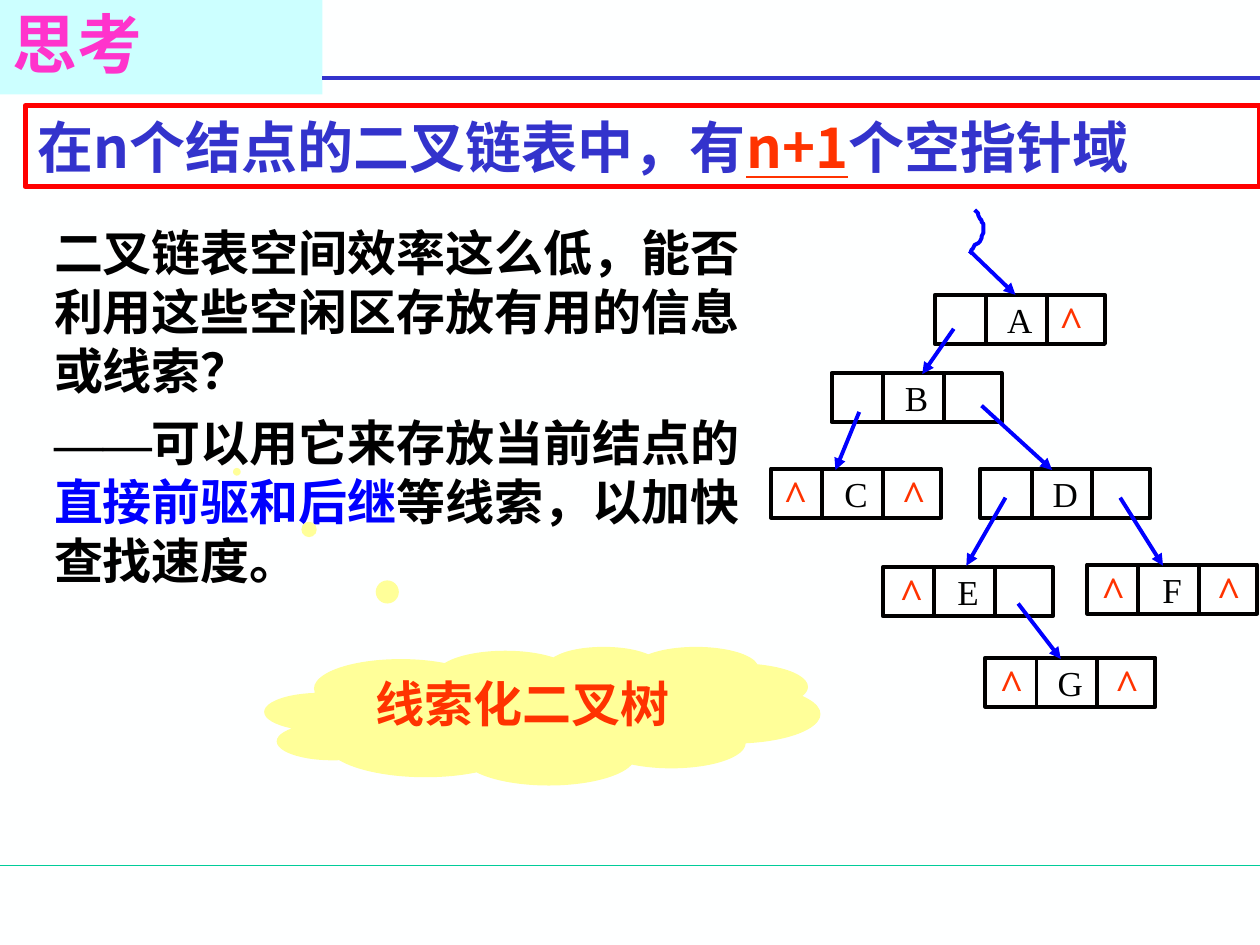
from lxml import etree
from pptx import Presentation
from pptx import util as u
from pptx.dml.color import RGBColor
from pptx.enum import shapes, text
from pptx.oxml.ns import qn

Pt = u.Pt
COLORS = dict(paper="FEFFFF", teal="00CC99", navy="3333CC", cyan="CCFFFF",
              pink="FF33CC", yellow="FFFF99", orange="FF3300", red="FF0000",
              black="000000", blue="0000FF")
SERIF, SANS = "Times New Roman", "Noto Sans CJK SC"
LEFT, CENTER = text.PP_ALIGN.LEFT, text.PP_ALIGN.CENTER
TOP, MIDDLE = text.MSO_ANCHOR.TOP, text.MSO_ANCHOR.MIDDLE

TITLE = [[("思考", "pink")]]
FACT = [[("在n个结点的二叉链表中，有", "navy"), ("n+1", "orange"), ("个空指针域", "navy")]]
QUESTION = [
    [("二叉链表空间效率这么低，能否利用这些空闲区存放有用的信息或线索？", "black")],
    [("——", "black"), ("可以用它来存放当前结点的", "black"),
     ("直接前驱和后继", "blue"), ("等线索，以加快查找速度。", "black")],
]
ANSWER = [[("线索化二叉树", "orange")]]

RULES = [((0, 494.6), (720, 494.6), "teal", 0.75),
         ((184.3, 44.6), (720, 44.6), "navy", 2.25)]
NODE_W, NODE_H, DIVIDERS = 97.2, 28.1, (29.3, 64)
CARET_W, CARET_H, CARET_RISE = 28.1, 36, 3.6
NODES = [("A", 534.2, 168.5, [64]), ("B", 475.2, 213.1, []),
         ("C", 440.6, 267.8, [0, 67.5]), ("D", 560.2, 267.8, []),
         ("E", 504.5, 324, [2.4]), ("F", 621.2, 322.6, [1, 67]),
         ("G", 563, 375.8, [1, 67])]
ARROWS = [((545, 187.9), (527, 213.8)), ((491, 235.4), (477.4, 268.6)),
          ((560.9, 231.8), (601.2, 268.6)), ((574.6, 284.4), (552.2, 323.3)),
          ((640.1, 284.4), (664.6, 323.3)), ((581.8, 344.9), (606.2, 376.6)),
          ((554.4, 143.6), (580.3, 168.5))]
ROOT_CURVES = [[(557, 120.2), (559.4, 123.8), (563, 127.4), (562.3, 131.8)],
               [(562.3, 131.8), (561.6, 136.1), (555.8, 142.6), (553.9, 144.7)]]
CURVE_STEPS = 10


def rgb(name):
    return RGBColor.from_string(COLORS[name])


def write(sp, paragraphs, size, font=SERIF, bold=True, align=LEFT,
          anchor=TOP, wrap=True, spacing=None, before=0):
    tf = sp.text_frame
    tf.auto_size = text.MSO_AUTO_SIZE.NONE
    tf.word_wrap = wrap
    tf.vertical_anchor = anchor
    for i, runs in enumerate(paragraphs):
        p = tf.add_paragraph() if i else tf.paragraphs[0]
        p.alignment = align
        p.space_before = Pt(before if i else 0)
        if spacing:
            p.line_spacing = spacing
        for content, color in runs:
            r = p.add_run()
            r.text = content
            r.font.size = Pt(size)
            r.font.bold = bold
            r.font.name = font
            r.font.color.rgb = rgb(color)
            r.font.underline = True if content == "n+1" else None
            ea = etree.SubElement(r.font._element, qn("a:ea"))
            ea.set("typeface", SERIF if content == "——" else SANS)


def add_box(s, kind, x, y, w, h, fill=None, line=None, width=2.25):
    sp = s.shapes.add_shape(kind, Pt(x), Pt(y), Pt(w), Pt(h))
    style(sp, fill, line, width)
    return sp


def style(sp, fill, line, width):
    sp.shadow.inherit = False
    if fill:
        sp.fill.solid()
        sp.fill.fore_color.rgb = rgb(fill)
    else:
        sp.fill.background()
    if line:
        sp.line.color.rgb = rgb(line)
        sp.line.width = Pt(width)
    else:
        sp.line.fill.background()


def add_text(s, x, y, w, h, paragraphs, size, **options):
    write(s.shapes.add_textbox(Pt(x), Pt(y), Pt(w), Pt(h)), paragraphs, size, **options)


def add_line(s, start, end, color, width=2.25, arrow=False):
    c = s.shapes.add_connector(shapes.MSO_CONNECTOR.STRAIGHT,
                               *[Pt(v) for v in start + end])
    c.line.color.rgb = rgb(color)
    c.line.width = Pt(width)
    if arrow:
        etree.SubElement(c.line._get_or_add_ln(), qn("a:tailEnd"), type="triangle")
    etree.SubElement(c._element.spPr, qn("a:effectLst"))


def bezier(a, b, c, d, t):
    k = 1 - t
    return tuple(k**3 * a[i] + 3 * k * k * t * b[i] + 3 * k * t * t * c[i] + t**3 * d[i]
                 for i in (0, 1))


def add_node(s, letter, x, y, carets):
    sp = add_box(s, shapes.MSO_SHAPE.RECTANGLE, x, y, NODE_W, NODE_H, line="black")
    write(sp, [[(letter, "black")]], 20, bold=False, align=CENTER,
          anchor=MIDDLE, wrap=False)
    for dx in DIVIDERS:
        add_line(s, (x + dx, y), (x + dx, y + NODE_H), "black")
    for dx in carets:
        add_text(s, x + dx, y - CARET_RISE, CARET_W, CARET_H, [[("^", "orange")]],
                 24, align=CENTER, anchor=MIDDLE, wrap=False)


def add_root_pointer(s):
    points = [bezier(*curve, step / CURVE_STEPS)
              for curve in ROOT_CURVES for step in range(1, CURVE_STEPS + 1)]
    builder = s.shapes.build_freeform(*ROOT_CURVES[0][0], scale=float(Pt(1)))
    builder.add_line_segments(points, close=False)
    style(builder.convert_to_shape(), None, "blue", 2.25)


def main():
    prs = Presentation()
    prs.slide_width, prs.slide_height = Pt(720), Pt(540)
    s = prs.slides.add_slide(prs.slide_layouts[5])
    s.background.fill.solid()
    s.background.fill.fore_color.rgb = rgb("paper")

    for rule in RULES:
        add_line(s, *rule)

    title = s.shapes.title
    title.left, title.top, title.width, title.height = Pt(0), Pt(0), Pt(184.3), Pt(54)
    title.fill.solid()
    title.fill.fore_color.rgb = rgb("cyan")
    write(title, TITLE, 37, font=SANS, anchor=MIDDLE, spacing=0.9)

    add_text(s, 23.8, 123.8, 416.2, 216, QUESTION, 28, spacing=Pt(33.7), before=7)

    cloud = add_box(s, shapes.MSO_SHAPE.CLOUD_CALLOUT, 151.2, 369.4, 317.5, 79.2,
                    fill="yellow")
    cloud.adjustments[0], cloud.adjustments[1] = -0.55, -1.76
    write(cloud, ANSWER, 28, align=CENTER)

    fact = add_box(s, shapes.MSO_SHAPE.RECTANGLE, 14.4, 60.5, 705.6, 46.1,
                   line="red", width=3)
    write(fact, FACT, 32, font=SANS, anchor=MIDDLE)

    for node in NODES:
        add_node(s, *node)
    for start, end in ARROWS:
        add_line(s, start, end, "blue", arrow=True)
    add_root_pointer(s)
    prs.save("out.pptx")


if __name__ == "__main__":
    main()
